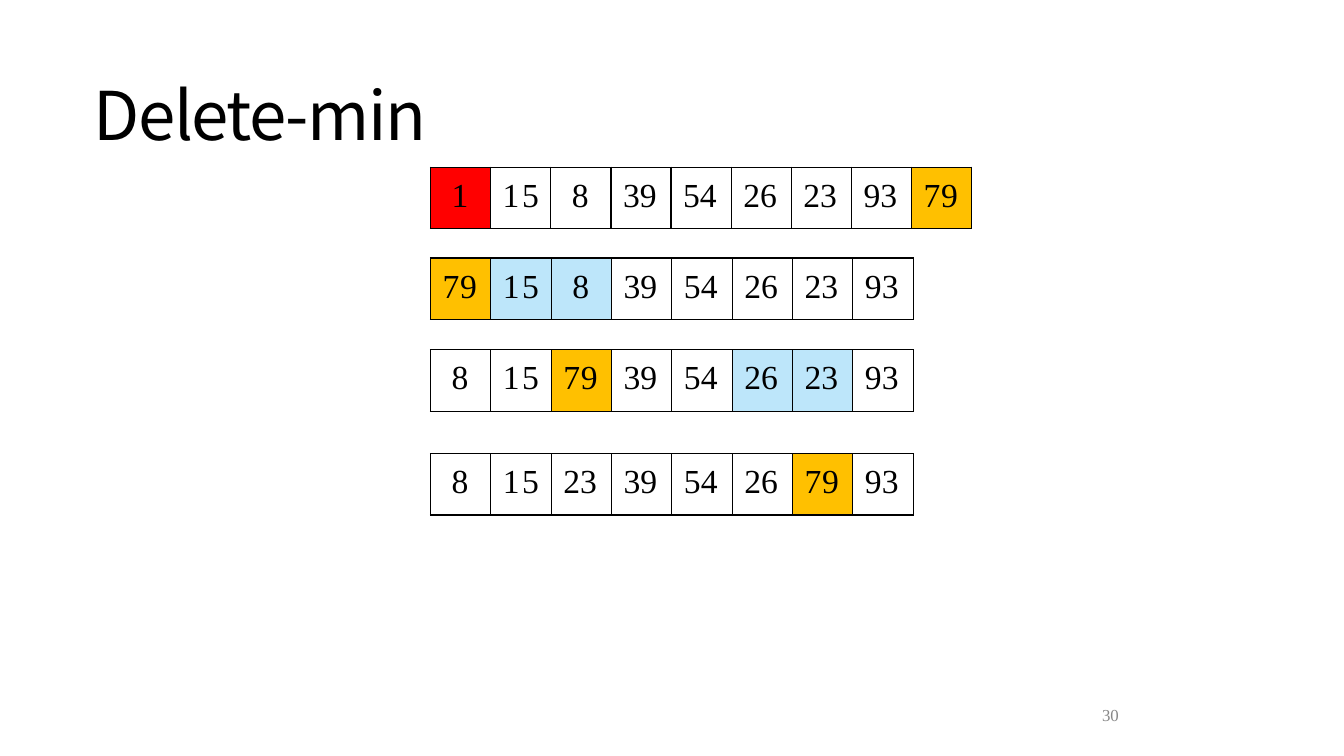
from dataclasses import dataclass

from lxml import etree
from pptx import Presentation
from pptx.dml.color import RGBColor
from pptx.enum.text import MSO_ANCHOR
from pptx.oxml.ns import qn
from pptx.util import Inches, Pt

TITLE_ONLY = 5
TOP, MIDDLE = MSO_ANCHOR.TOP, MSO_ANCHOR.MIDDLE


@dataclass(frozen=True)
class Theme:
    title_font: str = "Noto Sans CJK SC"
    body_font: str = "Times New Roman"
    title_size: int = 48
    key_size: int = 24
    number_size: int = 12
    ink: str = "000000"
    muted: str = "888888"
    removed: str = "FF0000"
    moving: str = "FFC000"
    children: str = "BDE6FA"


THEME = Theme()
ARRAY_LEFT, CELL_HEIGHT = 4.27, 0.61
KEY_INSET = {1: 0.21, 2: 0.12}  # left inset by digit count
KEY_SPACING = {15: 1.8, 79: 0.5}  # letter spacing in points

# Each step: top, width, keys, fills by index
STEPS = [
    (1.66, 5.37, [1, 15, 8, 39, 54, 26, 23, 93, 79],
     {0: THEME.removed, 8: THEME.moving}),
    (2.56, 4.79, [79, 15, 8, 39, 54, 26, 23, 93],
     {0: THEME.moving, 1: THEME.children, 2: THEME.children}),
    (3.47, 4.79, [8, 15, 79, 39, 54, 26, 23, 93],
     {2: THEME.moving, 5: THEME.children, 6: THEME.children}),
    (4.5, 4.79, [8, 15, 23, 39, 54, 26, 79, 93],
     {6: THEME.moving}),
]


def apply_format(target, values):
    for attribute, value in values.items():
        setattr(target, attribute, value)


def write_text(frame, text, font_name, size, color, spacing=0):
    frame.text = text
    run = frame.paragraphs[0].runs[0]
    apply_format(run.font, {"name": font_name, "size": Pt(size), "bold": False})
    run.font.color.rgb = RGBColor.from_string(color)
    if spacing:
        run.font._element.set("spc", str(round(spacing * 100)))


def set_borders(cell):
    properties = cell._tc.get_or_add_tcPr()
    for side in ("a:lnL", "a:lnR", "a:lnT", "a:lnB"):
        border = etree.SubElement(properties, qn(side), w=str(Pt(1)))
        fill = etree.SubElement(border, qn("a:solidFill"))
        etree.SubElement(fill, qn("a:srgbClr"), val=THEME.ink)


def format_key(cell, key, fill):
    text = str(key)
    write_text(cell.text_frame, text, THEME.body_font, THEME.key_size,
               THEME.ink, KEY_SPACING.get(key, 0))
    apply_format(cell, {
        "margin_left": Inches(KEY_INSET[len(text)]), "margin_top": Inches(0.1),
        "margin_right": 0, "margin_bottom": 0, "vertical_anchor": TOP,
    })
    set_borders(cell)
    if fill:
        cell.fill.solid()
        cell.fill.fore_color.rgb = RGBColor.from_string(fill)
    else:
        cell.fill.background()


def add_heap_array(slide, top, width, keys, fills):
    heap = slide.shapes.add_table(
        1, len(keys), Inches(ARRAY_LEFT), Inches(top),
        Inches(width), Inches(CELL_HEIGHT)).table
    apply_format(heap, {"first_row": False, "horz_banding": False})
    for index, key in enumerate(keys):
        format_key(heap.cell(0, index), key, fills.get(index))


def set_title(slide, text):
    title = slide.shapes.title
    apply_format(title, {
        "left": Inches(0.92), "top": Inches(0.71),
        "width": Inches(11.5), "height": Inches(0.82),
    })
    frame = title.text_frame
    write_text(frame, text, THEME.title_font, THEME.title_size, THEME.ink, -1.1)
    apply_format(frame, {
        "margin_left": Inches(0.01), "margin_top": Inches(0.01),
        "margin_right": 0, "margin_bottom": 0,
        "vertical_anchor": MIDDLE, "word_wrap": True,
    })
    # The layout centres its title; this one starts at the left
    frame.paragraphs[0]._p.get_or_add_pPr().set("algn", "l")


def add_page_number(slide, text):
    page_number = slide.shapes.add_textbox(
        Inches(10.87), Inches(7), Inches(0.25), Inches(0.2))
    frame = page_number.text_frame
    apply_format(frame, {
        "margin_left": Inches(0.06), "margin_top": 0,
        "margin_right": 0, "margin_bottom": 0, "word_wrap": True,
    })
    write_text(frame, text, THEME.body_font, THEME.number_size, THEME.muted)
    frame.paragraphs[0].line_spacing = Pt(14.1)


def main():
    deck = Presentation()
    apply_format(deck, {"slide_width": Inches(13.33), "slide_height": Inches(7.5)})
    slide = deck.slides.add_slide(deck.slide_layouts[TITLE_ONLY])
    set_title(slide, "Delete-min")
    for step in STEPS:
        add_heap_array(slide, *step)
    add_page_number(slide, "30")
    deck.save("out.pptx")


if __name__ == "__main__":
    main()
